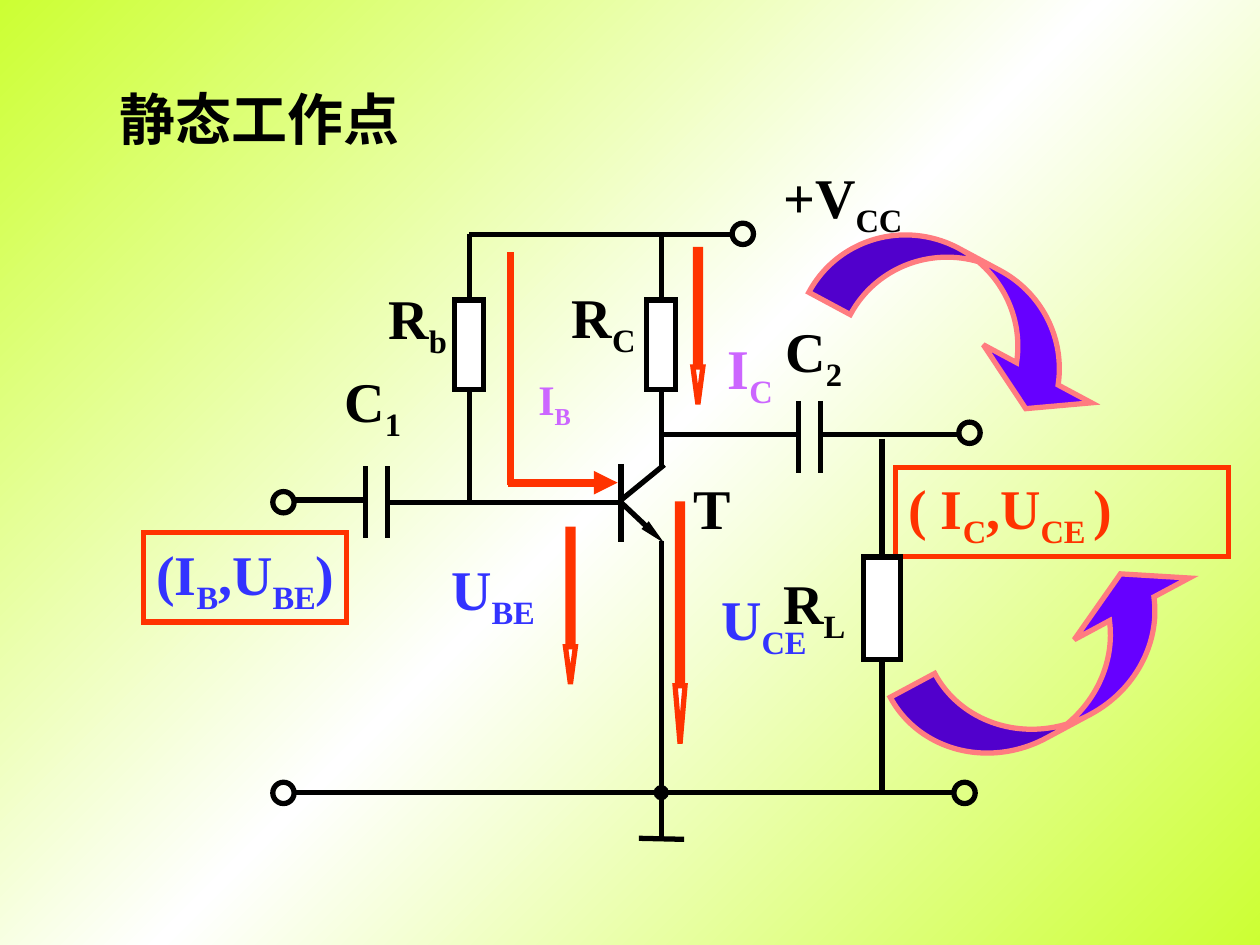
from copy import deepcopy
from dataclasses import dataclass

from lxml import etree
from pptx import Presentation, slide as slides
from pptx import util as u
from pptx.dml import color
from pptx.enum import shapes, text
from pptx.oxml import ns

BLACK, WHITE, LIME = "000000", "FFFFFF", "CCFF33"
RED, BLUE, LILAC = "FF3300", "3333FF", "CC66FF"
PURPLE, PINK = "6600FF", "FF7C80"
SHAPE = shapes.MSO_SHAPE


def rgb(value):
    """Turn a hex string into a colour."""
    return color.RGBColor.from_string(value)


def write(shape, markup, ink, size=32, centred=True, anchor=text.MSO_ANCHOR.MIDDLE):
    """Write text in which underscores switch the subscript on and off."""
    frame = shape.text_frame
    frame.word_wrap = False
    frame.vertical_anchor = anchor
    paragraph = frame.paragraphs[0]
    paragraph.alignment = text.PP_ALIGN.CENTER if centred else text.PP_ALIGN.LEFT
    for index, part in enumerate(markup.split("_")):
        if not part:
            continue
        run = paragraph.add_run()
        run.text = part
        run.font.name = "Times New Roman"
        run.font.size = u.Pt(size)
        run.font.bold = True
        run.font.color.rgb = rgb(ink)
        if index % 2:
            run._r.get_or_add_rPr().set("baseline", "-25000")


@dataclass
class Region:
    """A part of the slide whose contents are placed from its corner, in cm."""

    slide: slides.Slide
    left: float
    top: float

    def box(self, left, top, width, height):
        """Return slide lengths for a box inside the region."""
        return (u.Cm(self.left + left), u.Cm(self.top + top),
                u.Cm(width), u.Cm(height))

    def wire(self, x1, y1, x2, y2, ink=BLACK, width=3, head=None):
        """Draw a straight line, with an arrowhead of the given width and length."""
        connector = self.slide.shapes.add_connector(
            shapes.MSO_CONNECTOR.STRAIGHT,
            u.Cm(self.left + x1), u.Cm(self.top + y1),
            u.Cm(self.left + x2), u.Cm(self.top + y2))
        connector.line.color.rgb = rgb(ink)
        connector.line.width = u.Pt(width)
        properties = connector._element.spPr
        if head:
            line = properties.find(ns.qn("a:ln"))
            etree.SubElement(line, ns.qn("a:tailEnd"), type="triangle", w=head[0], len=head[1])
        etree.SubElement(properties, ns.qn("a:effectLst"))

    def outline(self, kind, box, fill=None, ink=BLACK, adjust=(), rotation=0):
        """Draw a preset shape with a three point line and sharp corners."""
        shape = self.slide.shapes.add_shape(kind, *self.box(*box))
        shape.shadow.inherit = False
        if fill:
            shape.fill.solid()
            shape.fill.fore_color.rgb = rgb(fill)
        else:
            shape.fill.background()
        shape.line.color.rgb = rgb(ink)
        shape.line.width = u.Pt(3)
        line = shape._element.spPr.find(ns.qn("a:ln"))
        etree.SubElement(line, ns.qn("a:miter"), lim="800000")
        for index, value in enumerate(adjust):
            shape.adjustments[index] = value
        shape.rotation = rotation
        return shape

    def label(self, markup, box, ink=BLACK, **style):
        """Add a text box that grows with its single line."""
        shape = self.slide.shapes.add_textbox(*self.box(*box))
        write(shape, markup, ink, **style)
        shape.text_frame.auto_size = text.MSO_AUTO_SIZE.SHAPE_TO_FIT_TEXT


def paint_background(slide):
    """Fill the slide with a diagonal three-stop gradient."""
    fill = slide.background.fill
    fill.gradient()
    fill.gradient_angle = 315
    stop_list = next(slide._element.iter(ns.qn("a:gsLst")))
    stop_list.insert(1, deepcopy(stop_list[0]))
    for stop, position, value in zip(fill.gradient_stops, (0, 0.5, 1), (LIME, WHITE, LIME)):
        stop.position = position
        stop.color.rgb = rgb(value)


def draw_circuit(region):
    """Draw the amplifier with its terminals and part names."""
    rail, base, output, ground = 1.72, 7.13, 5.76, 12.98
    bias, collector, bar = 3.96, 7.83, 7.02
    wires = [
        (bias, rail, 9.23, rail), (bias, rail, bias, 3.15), (bias, 4.82, bias, base),
        (collector, rail, collector, 3.15), (collector, 4.8, collector, 6.42),
        (collector, 7.9, collector, ground), (collector, ground, collector, 13.94),
        (7.38, 13.9, 8.29, 13.92), (0.44, ground, 13.75, ground),
        (0.44, 7.08, 1.84, 7.08), (2.27, base, bar, base), (bar, 6.35, bar, 7.92),
        (bar, 7.08, 7.89, 6.37), (collector, output, 10.6, output),
        (11.04, output, 13.83, output),
    ]
    for ends in wires:
        region.wire(*ends)
    region.wire(bar, base, 7.89, 7.95, head=("sm", "lg"))
    for left, top in ((1.87, 6.4), (10.6, 5.08)):
        for plate in (left, left + 0.44):
            region.wire(plate, top, plate, top + 1.45)
    for centre in (bias, collector):
        region.outline(SHAPE.RECTANGLE, (centre - 0.29, 3.05, 0.58, 1.8), WHITE)
    for left, top in ((9.26, 1.5), (0, 6.91), (0, 12.77), (13.83, 5.51), (13.73, 12.77)):
        region.outline(SHAPE.OVAL, (left, top, 0.43, 0.43))
    region.outline(SHAPE.OVAL, (collector - 0.1, ground - 0.1, 0.2, 0.2), BLACK)
    names = [
        ("R_b", 2.07, 2.59, 1.7), ("R_C", 5.74, 2.56, 1.86), ("C_1", 1.18, 4.26, 1.67),
        ("C_2", 10.07, 3.25, 1.67), ("T", 8.22, 6.33, 1.26),
    ]
    for name, left, top, width in names:
        region.label(name, (left, top, width, 1.8))
    region.label("+V_CC", (10.04, 0.15, 3, 1.8), centred=False)


def draw_signals(region):
    """Draw the arrows of the currents and voltages with their names."""
    signals = [
        ("I_C", LILAC, (5.17, 0.03), 3.12, 3.75, (5.6, 1.6, 1.44, 1.8)),
        ("U_BE", BLUE, (2.6, 5.67), 3.12, 3.75, (0, 6.05, 2.28, 1.8)),
        ("U_CE", BLUE, (4.81, 5.16), 4.83, 5.82, (5.45, 6.66, 2.3, 1.8)),
    ]
    for name, ink, corner, length, head, box in signals:
        region.outline(SHAPE.DOWN_ARROW, (*corner, 0.2, length), WHITE, RED, (0.5, head))
        region.label(name, box, ink)
    region.label("I_B", (1.72, 2.39, 1.32, 1.42), LILAC, size=24)
    region.wire(1.44, 4.73, 3.65, 4.73, RED, 4.5, head=("med", "med"))
    region.wire(1.49, 4.78, 1.49, 0.08, RED, 4.5)


def draw_operating_points(region):
    """Frame the input and output pairs and draw the curved arrows."""
    output = region.outline(SHAPE.RECTANGLE, (15.16, 4.42, 6.71, 1.8), ink=RED)
    write(output, "( I_C_,U_CE _)", RED, centred=False)
    region.outline(SHAPE.CURVED_DOWN_ARROW, (13.56, 0.28, 6.2, 2.21),
                   PURPLE, PINK, (0.43, 1.12, 0.33), 28.2)
    region.outline(SHAPE.CURVED_UP_ARROW, (15.18, 7.37, 6.58, 2.21),
                   PURPLE, PINK, (0.46, 1.19, 0.33), 331.8)
    entry = region.outline(SHAPE.RECTANGLE, (0, 5.74, 4.09, 1.8), ink=RED)
    write(entry, "(I_B_,U_BE_)", BLUE)


def draw_load(region):
    """Draw the load resistor between output and ground."""
    region.wire(2.28, 0.04, 2.28, 7.18)
    region.outline(SHAPE.RECTANGLE, (1.91, 2.43, 0.74, 2.06), WHITE)
    region.label("R_L", (0.04, 2.53, 2.16, 1.8), centred=False, anchor=text.MSO_ANCHOR.TOP)


def draw_title(region):
    """Write the slide title."""
    region.label("静态工作点", (0, 0, 6.3, 1.63), centred=False, anchor=text.MSO_ANCHOR.TOP)


def main():
    """Build the slide and save it."""
    presentation = Presentation()
    presentation.slide_width, presentation.slide_height = u.Cm(25.4), u.Cm(19.05)
    slide = presentation.slides.add_slide(presentation.slide_layouts[6])
    paint_background(slide)
    draw_circuit(Region(slide, 5.5, 3))
    draw_signals(Region(slide, 8.8, 5))
    draw_operating_points(Region(slide, 2.9, 5))
    draw_load(Region(slide, 15.5, 8.8))
    draw_title(Region(slide, 2.16, 1.57))
    presentation.save("out.pptx")


if __name__ == "__main__":
    main()
